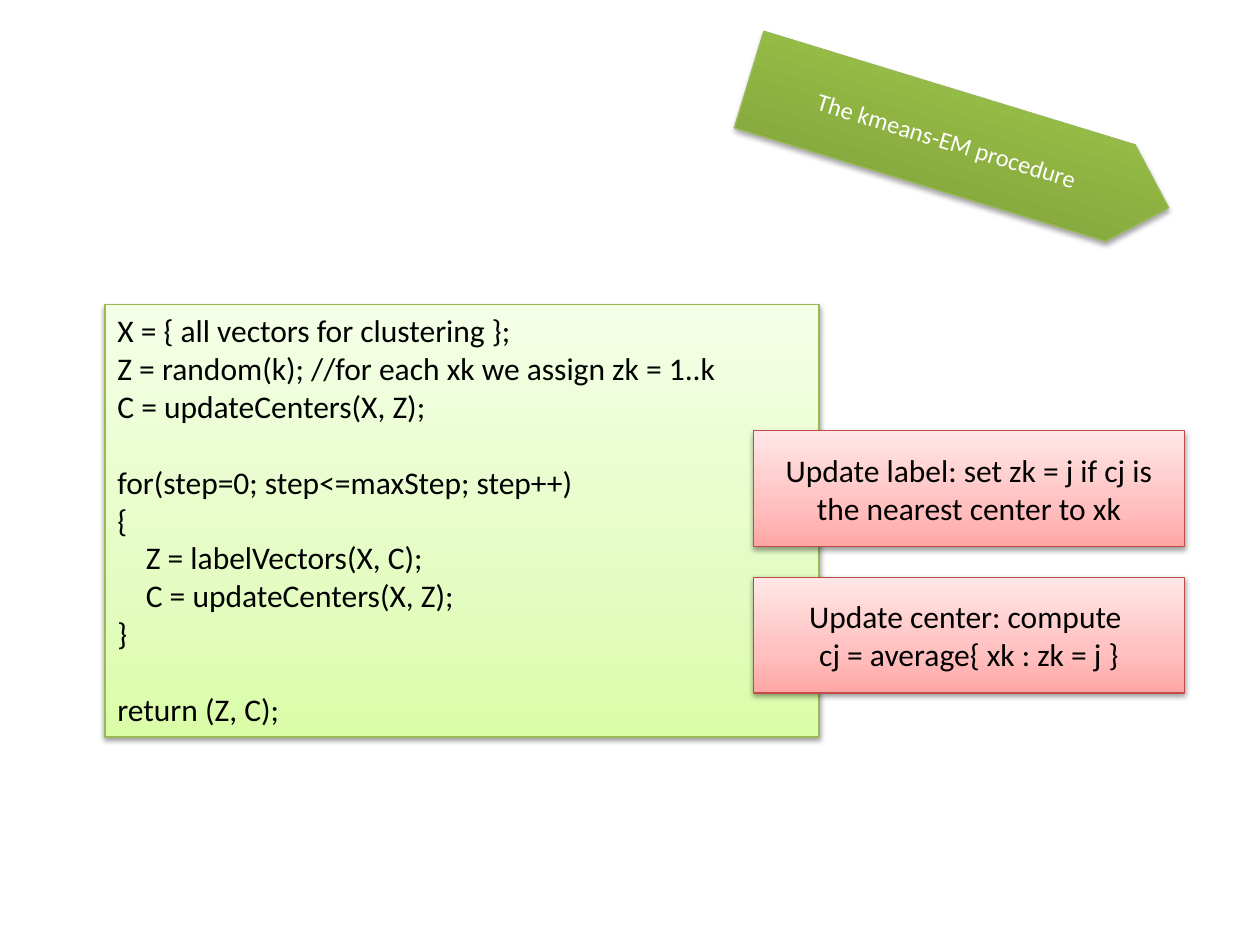
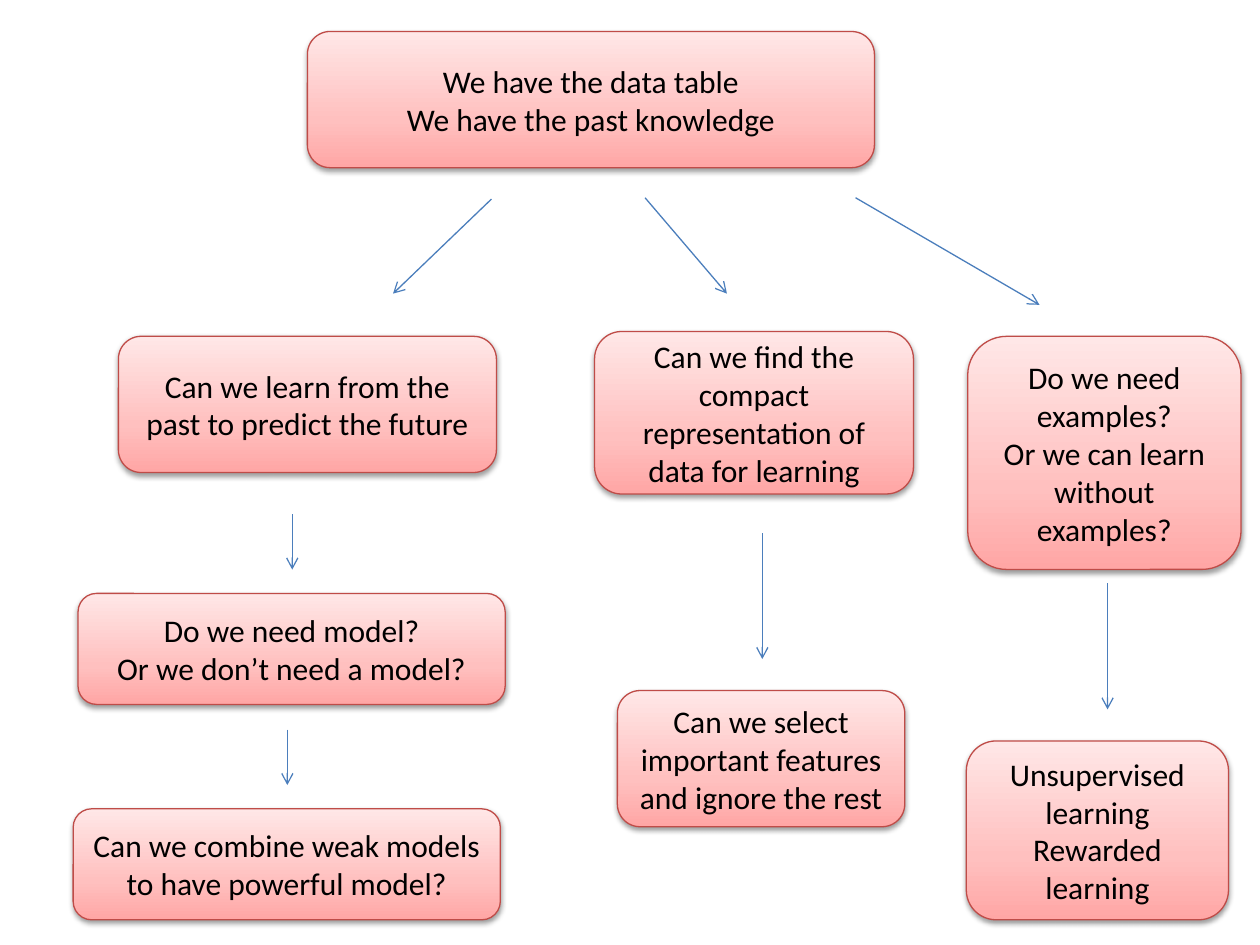
"""Build two slides: the kmeans-EM procedure and a map of learning questions."""
from lxml.etree import SubElement
from pptx import Presentation
from pptx.dml.color import RGBColor
from pptx.enum.shapes import MSO_CONNECTOR, MSO_SHAPE
from pptx.enum.text import MSO_ANCHOR, MSO_AUTO_SIZE, PP_ALIGN
from pptx.oxml.ns import qn
from pptx.util import Pt

FONT = "Calibri"
LINE_HEIGHT = 22
COLORS = {
    "ink": "000000",
    "white": "FFFFFF",
    "arrow": "4B7EBC",
    "green_line": "98B955",
    "red_line": "BF4C48",
}
GRADIENTS = {
    "code": [(0, "DAFDA7"), (35, "E4FCC2"), (100, "F5FFE7")],
    "banner": [(0, "779737"), (80, "9BC348"), (100, "9DC746")],
    "question": [(0, "FFA6A5"), (35, "FFC0BF"), (100, "FFE7E7")],
}
CODE = """X = { all vectors for clustering };
Z = random(k); //for each xk we assign zk = 1..k
C = updateCenters(X, Z);

for(step=0; step<=maxStep; step++)
{
    Z = labelVectors(X, C);
    C = updateCenters(X, Z);
}

return (Z, C);"""
STEP_NOTES = [
    "Update label: set zk = j if cj is the nearest center to xk",
    "Update center: compute \ncj = average{ xk : zk = j }",
]
QUESTIONS = [
    ((175.7, 18, 324, 77.8), "We have the data table\nWe have the past knowledge"),
    ((67.7, 192.2, 216, 77.8), "Can we learn from the past to predict the future"),
    ((339.8, 189.4, 182.2, 92.9),
     "Can we find the compact representation of data for learning"),
    ((352.8, 394.6, 164.2, 77.8), "Can we select important features and ignore the rest"),
    ((44.6, 339.1, 244.1, 63.4), "Do we need model?\nOr we don’t need a model?"),
    ((41.8, 462.2, 244.1, 63.4), "Can we combine weak models to have powerful model?"),
    ((553, 192.2, 156.2, 133.2),
     "Do we need examples?\nOr we can learn without examples?"),
    ((552.2, 423.4, 149.8, 102.2), "Unsupervised learning\nRewarded learning"),
]
BRANCH_ARROWS = [
    (280.8, 113.8, 224.6, 167.8),
    (368.6, 113, 415.4, 167.8),
    (488.9, 113, 594, 174.2),
]
DOWN_ARROWS = [
    (435.6, 304.6, 72),
    (167, 293.8, 31.7),
    (164.2, 416.9, 31.7),
    (632.9, 333.4, 72),
]


def color(name):
    return RGBColor.from_string(COLORS[name])


def fill_gradient(shape, stops):
    shape.fill.gradient()
    shape.fill.gradient_angle = 90
    stop_list = shape._element.spPr.find(qn("a:gradFill")).find(qn("a:gsLst"))
    for default_stop in list(stop_list):
        stop_list.remove(default_stop)
    for percent, value in stops:
        stop = SubElement(stop_list, qn("a:gs"), pos=str(percent * 1000))
        SubElement(stop, qn("a:srgbClr"), val=value)


def add_shadow(shape, opacity, distance):
    shape.shadow.inherit = False
    effects = shape._element.spPr.find(qn("a:effectLst"))
    shadow = SubElement(effects, qn("a:outerShdw"), blurRad=str(Pt(3.1)),
                        dist=str(Pt(distance)), dir="5400000", rotWithShape="0")
    tint = SubElement(shadow, qn("a:srgbClr"), val=COLORS["ink"])
    SubElement(tint, qn("a:alpha"), val=str(opacity * 1000))


def add_panel(slide, kind, box, gradient, outline, opacity=38, distance=1.6):
    panel = slide.shapes.add_shape(kind, *map(Pt, box))
    fill_gradient(panel, GRADIENTS[gradient])
    panel.line.color.rgb = color(outline)
    panel.line.width = Pt(0.75)
    add_shadow(panel, opacity, distance)
    return panel


def write_lines(panel, text, size=18, ink="ink", align=PP_ALIGN.CENTER,
                anchor=MSO_ANCHOR.MIDDLE):
    frame = panel.text_frame
    frame.word_wrap = True
    frame.vertical_anchor = anchor
    paragraph, gap = frame.paragraphs[0], 0
    for number, line in enumerate(text.split("\n")):
        if not line:
            gap = LINE_HEIGHT
            continue
        if number:
            paragraph = frame.add_paragraph()
        if gap:
            paragraph.space_before = Pt(gap)
            gap = 0
        paragraph.text = line
        paragraph.alignment = align
        paragraph.font.name = FONT
        paragraph.font.size = Pt(size)
        paragraph.font.color.rgb = color(ink)


def add_question(slide, box, text, kind=MSO_SHAPE.ROUNDED_RECTANGLE):
    write_lines(add_panel(slide, kind, box, "question", "red_line"), text)


def add_code(slide, box, text):
    panel = add_panel(slide, MSO_SHAPE.RECTANGLE, box, "code", "green_line")
    write_lines(panel, text, align=PP_ALIGN.LEFT, anchor=MSO_ANCHOR.TOP)
    panel.text_frame.auto_size = MSO_AUTO_SIZE.SHAPE_TO_FIT_TEXT


def add_banner(slide, box, text):
    banner = add_panel(slide, MSO_SHAPE.PENTAGON, box, "banner", "green_line",
                       opacity=35, distance=1.8)
    banner.rotation = 17
    write_lines(banner, text, size=14, ink="white")


def add_arrow(slide, *ends):
    arrow = slide.shapes.add_connector(MSO_CONNECTOR.STRAIGHT, *map(Pt, ends))
    arrow.line.color.rgb = color("arrow")
    arrow.line.width = Pt(0.75)
    properties = arrow._element.spPr
    SubElement(properties.find(qn("a:ln")), qn("a:tailEnd"), type="arrow")
    SubElement(properties, qn("a:effectLst"))


def build_procedure(slide):
    add_code(slide, (60, 174.2, 408, 247), CODE)
    add_banner(slide, (422.6, 53.3, 250.6, 57.6), "The kmeans-EM procedure")
    for row, note in enumerate(STEP_NOTES):
        add_question(slide, (430.6, 246.2 + 83.6 * row, 246.2, 66.2), note,
                     MSO_SHAPE.RECTANGLE)


def build_question_map(slide):
    for box, text in QUESTIONS:
        add_question(slide, box, text)
    for ends in BRANCH_ARROWS:
        add_arrow(slide, *ends)
    for x, top, length in DOWN_ARROWS:
        add_arrow(slide, x, top, x, top + length)


def main():
    deck = Presentation()
    deck.slide_width, deck.slide_height = Pt(720), Pt(540)
    blank = deck.slide_layouts[6]
    for build in (build_procedure, build_question_map):
        build(deck.slides.add_slide(blank))
    deck.save("out.pptx")


if __name__ == "__main__":
    main()
